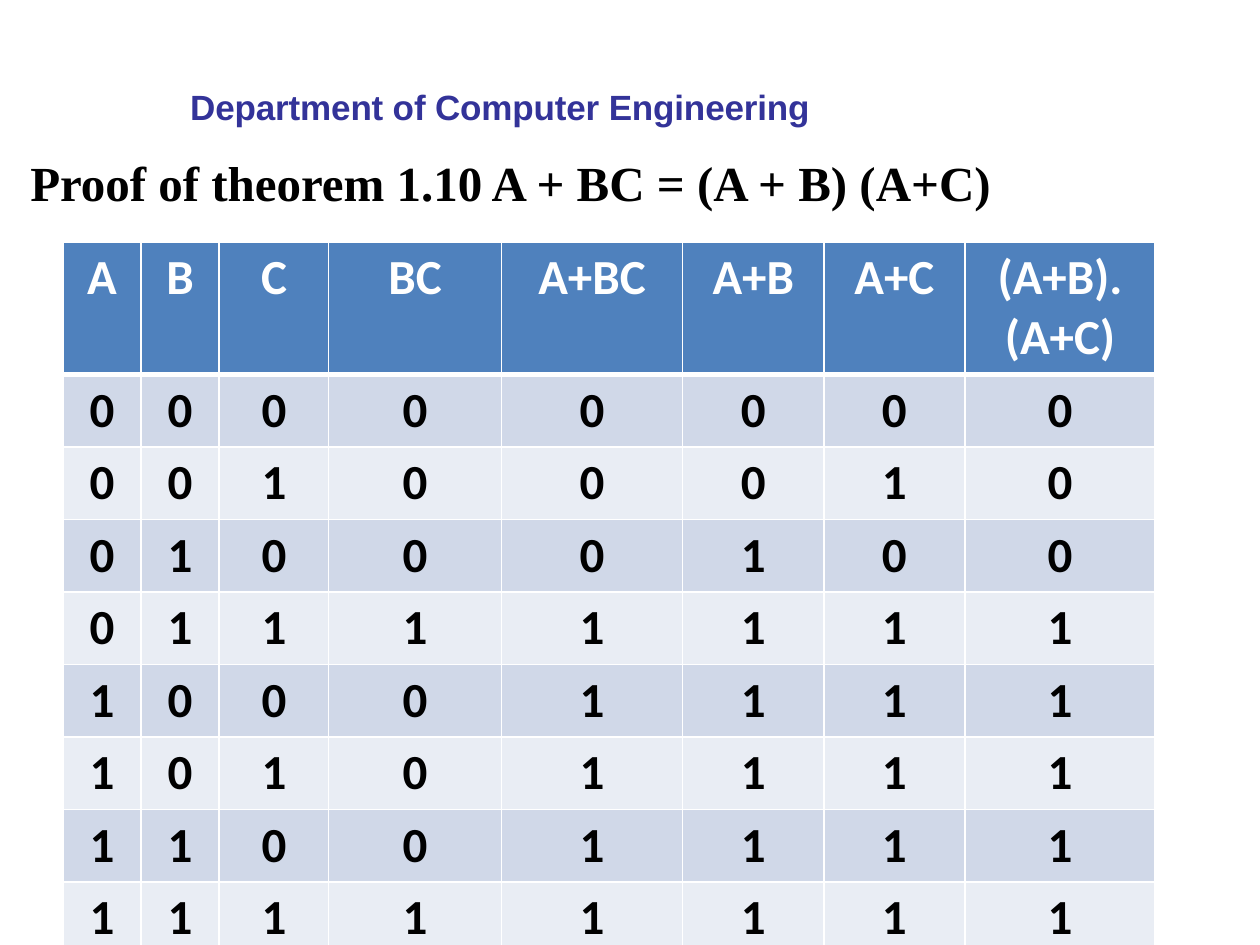
from itertools import product

from lxml.etree import SubElement
from pptx import Presentation
from pptx.dml.color import RGBColor
from pptx.enum.text import MSO_ANCHOR, MSO_AUTO_SIZE, PP_ALIGN
from pptx.oxml.ns import qn
from pptx.util import Inches, Pt

COLORS = {
    "title": "000000",
    "department": "333399",
    "header": "4F81BD",
    "header_text": "FFFFFF",
    "odd_row": "D0D8E8",
    "even_row": "E9EDF4",
    "body_text": "000000",
    "border": "FFFFFF",
}
HEADINGS = ["A", "B", "C", "BC", "A+BC", "A+B", "A+C", "(A+B).\n(A+C)"]
COLUMN_WIDTHS = [0.62, 0.62, 0.87, 1.37, 1.44, 1.12, 1.12, 1.51]
ROW_HEIGHTS = [0.96] + [0.53] * 7 + [0.25]


def set_attributes(target, values):
    for name, value in values.items():
        setattr(target, name, value)


def write_text(frame, text, font_name, size, color, alignment=PP_ALIGN.LEFT):
    frame.text = text
    for para in frame.paragraphs:
        para.alignment = alignment
        for span in para.runs:
            set_attributes(span.font, {"name": font_name, "size": Pt(size), "bold": True})
            span.font.color.rgb = RGBColor.from_string(COLORS[color])


def format_frame(frame, top_margin=0):
    set_attributes(frame, {
        "margin_left": 0,
        "margin_right": 0,
        "margin_top": Inches(top_margin),
        "margin_bottom": 0,
        "word_wrap": True,
        "auto_size": MSO_AUTO_SIZE.NONE,
        "vertical_anchor": MSO_ANCHOR.TOP,
    })


def add_title(page):
    title = page.shapes.title
    set_attributes(title, {
        "left": Inches(0.24),
        "top": Inches(1.21),
        "width": Inches(8.01),
        "height": Inches(1.41),
    })
    format_frame(title.text_frame)
    write_text(title.text_frame, "Proof of theorem 1.10 A + BC = (A + B) (A+C)",
               "Times New Roman", 28, "title")


def add_department(page):
    box = page.shapes.add_textbox(Inches(1.5), Inches(0.67), Inches(4.98), Inches(0.36))
    format_frame(box.text_frame, top_margin=0.01)
    write_text(box.text_frame, "Department of Computer Engineering", "Arial", 20, "department")
    para = box.text_frame.paragraphs[0]
    para.space_before = Pt(1)
    para._p.get_or_add_pPr().set("marL", str(Inches(0.01)))
    para.runs[0].font._element.set("spc", "-10")


def set_borders(cell, widths):
    properties = cell._tc.get_or_add_tcPr()
    for side, width in widths.items():
        line = SubElement(properties, qn(f"a:ln{side}"), w=str(Pt(width)))
        fill = SubElement(line, qn("a:solidFill"))
        SubElement(fill, qn("a:srgbClr"), val=COLORS["border"])


def fill_cell(cell, text, fill, text_color, widths):
    write_text(cell.text_frame, text, "Calibri", 28, text_color, PP_ALIGN.CENTER)
    set_borders(cell, widths)
    cell.fill.solid()
    cell.fill.fore_color.rgb = RGBColor.from_string(COLORS[fill])


def truth_rows():
    return [
        [a, b, c, b & c, a | b & c, a | b, a | c, (a | b) & (a | c)]
        for a, b, c in product((0, 1), repeat=3)
    ]


def add_truth_table(page):
    rows = [HEADINGS] + truth_rows()
    table = page.shapes.add_table(
        len(rows), len(HEADINGS), Inches(0.5), Inches(1.92),
        Inches(sum(COLUMN_WIDTHS)), Inches(sum(ROW_HEIGHTS))).table
    for column, width in zip(table.columns, COLUMN_WIDTHS):
        column.width = Inches(width)
    for row, height in zip(table.rows, ROW_HEIGHTS):
        row.height = Inches(height)
    for row_index, values in enumerate(rows):
        is_header = row_index == 0
        fill = "header" if is_header else "odd_row" if row_index % 2 else "even_row"
        text_color = "header_text" if is_header else "body_text"
        widths = {"L": 1, "R": 1, "T": 3 if row_index == 1 else 1, "B": 3 if is_header else 1}
        for column_index, value in enumerate(values):
            fill_cell(table.cell(row_index, column_index), str(value), fill, text_color, widths)


def main():
    deck = Presentation()
    set_attributes(deck, {"slide_width": Inches(10), "slide_height": Inches(7.5)})
    page = deck.slides.add_slide(deck.slide_layouts[5])
    add_title(page)
    add_truth_table(page)
    add_department(page)
    deck.save("out.pptx")


if __name__ == "__main__":
    main()
